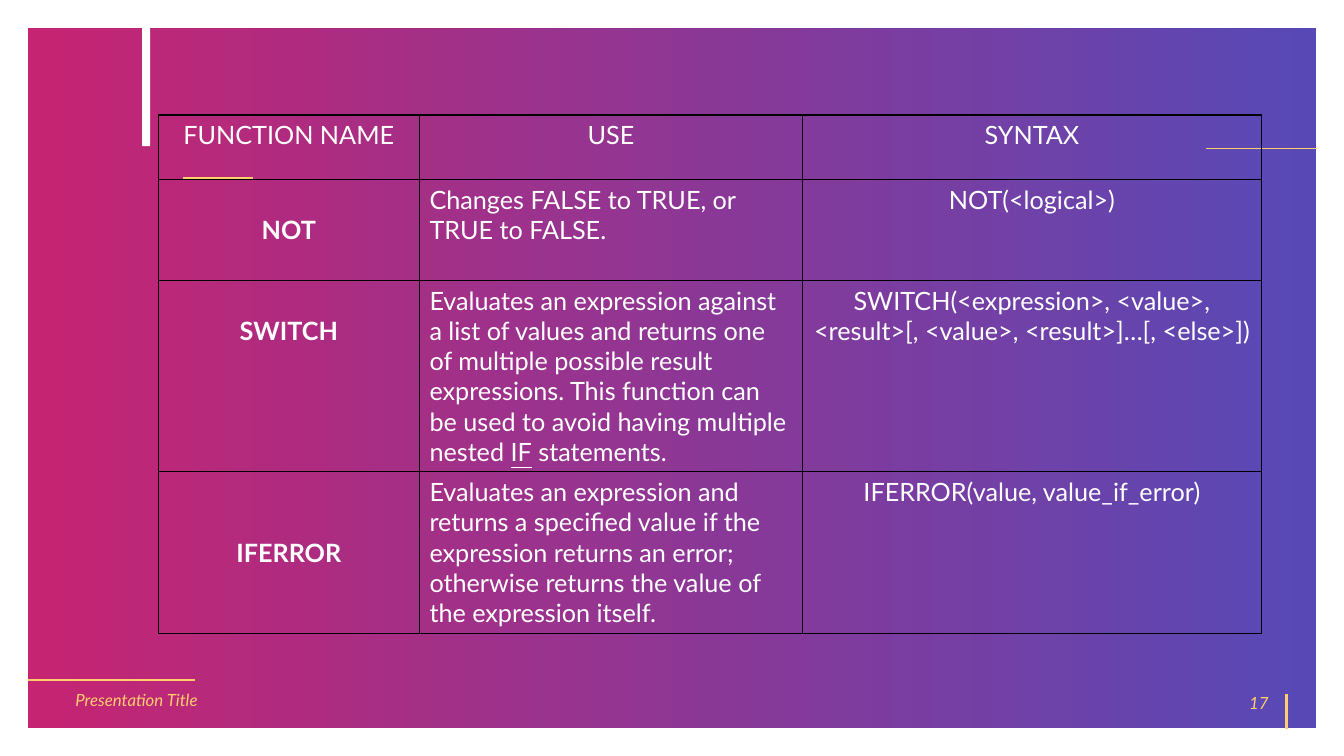
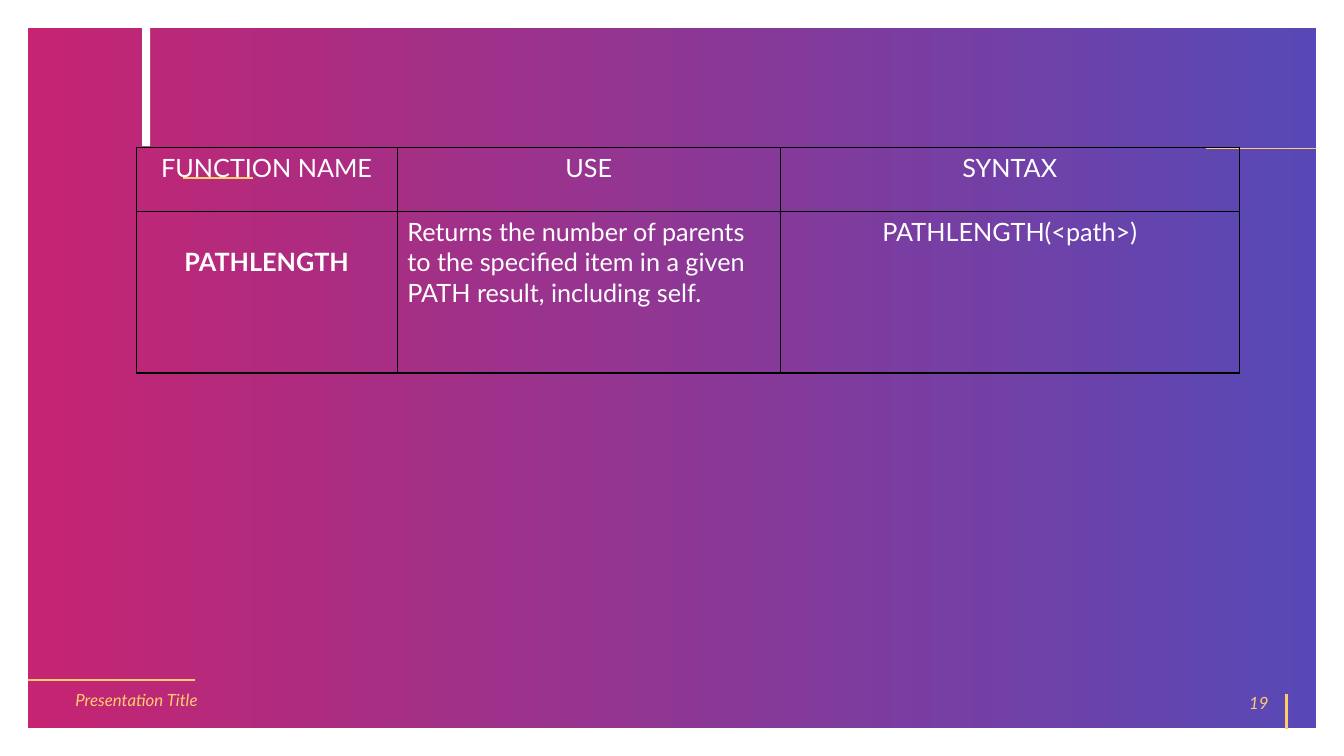
from lxml import etree
from pptx import Presentation
from pptx.dml.color import RGBColor
from pptx.enum.shapes import MSO_CONNECTOR, MSO_SHAPE
from pptx.enum.text import MSO_ANCHOR, PP_ALIGN
from pptx.oxml.ns import qn
from pptx.util import Inches, Pt

RECT, LINE = MSO_SHAPE.RECTANGLE, MSO_CONNECTOR.STRAIGHT
LEFT, CENTER, RIGHT = PP_ALIGN.LEFT, PP_ALIGN.CENTER, PP_ALIGN.RIGHT
MIDDLE = MSO_ANCHOR.MIDDLE

WHITE = RGBColor(0xFF, 0xFF, 0xFF)
BLACK = RGBColor(0x00, 0x00, 0x00)
GOLD = RGBColor(0xFF, 0xCD, 0x6B)
PINK = RGBColor(0xBE, 0x00, 0x5A)
BLUE = RGBColor(0x3B, 0x2C, 0xAC)

FOOT = {"name": "Lato", "size": Pt(12), "italic": True}
BODY = {"name": "Lato", "size": Pt(18), "bold": False}
NAME = {**BODY, "bold": True}

HEAD = ("FUNCTION NAME", "USE", "SYNTAX")
COLS = (2.59, 3.8, 4.55)
HEAD_H = 0.64
TEXT_H = 0.3  # one line of body text
PAD = 0.05

# Rows: height, lines above the name, name, use, syntax; |...| is underlined
SLIDES = [
    {"number": "17", "left": 1.57, "top": 1.14, "rows": [
        (1.0, 1, "NOT", "Changes FALSE to TRUE, or TRUE to FALSE.",
         "NOT(<logical>)"),
        (1.9, 1, "SWITCH",
         "Evaluates an expression against a list of values and returns one "
         "of multiple possible result expressions. This function can be used "
         "to avoid having multiple nested |IF| statements.",
         "SWITCH(<expression>, <value>, <result>[, <value>, "
         "<result>]…[, <else>])"),
        (1.6, 2, "IFERROR",
         "Evaluates an expression and returns a specified value if the "
         "expression returns an error; otherwise returns the value of the "
         "expression itself.",
         "IFERROR(value, value_if_error)"),
    ]},
    {"number": "19", "left": 1.35, "top": 1.46, "rows": [
        (1.6, 1, "PATHLENGTH",
         "Returns the number of parents to the specified item in a given "
         "PATH result, including self.",
         "PATHLENGTH(<path>)"),
    ]},
]

# Gold rules: x1, y1, x2, y2, width in points
RULES = [
    (1.82, 1.77, 2.51, 1.77, 1.5),
    (11.96, 1.47, 13.06, 1.47, 0.5),
    (12.76, 7.23, 12.76, 6.89, 1.5),
    (0.28, 6.75, 1.93, 6.75, 1.5),
]


def write(frame, text, form, color, align):
    """Fill the first paragraph; parts between bars are underlined."""
    para = frame.paragraphs[0]
    para.alignment = align
    for i, part in enumerate(text.split("|")):
        run = para.add_run()
        run.text = part
        for key, value in form.items():
            setattr(run.font, key, value)
        run.font.color.rgb = color
        if i % 2:
            run.font.underline = True


def add_rect(slide, *box):
    shape = slide.shapes.add_shape(RECT, *map(Inches, box))
    shape.shadow.inherit = False
    return shape


def add_panel(slide):
    panel = add_rect(slide, 0.13, 0.13, 13.07, 7.24)
    panel.fill.gradient()
    panel.fill.gradient_angle = 0
    for stop, color in zip(panel.fill.gradient_stops, (PINK, BLUE)):
        stop.color.rgb = color
    for node in panel._element.xpath(".//a:gs/a:srgbClr"):
        etree.SubElement(node, qn("a:alpha"), val="85000")
    panel.line.color.rgb = WHITE
    panel.line.width = Pt(21.5)


def add_rule(slide, x1, y1, x2, y2, width):
    rule = slide.shapes.add_connector(LINE, *map(Inches, (x1, y1, x2, y2)))
    rule.line.color.rgb = GOLD
    rule.line.width = Pt(width)
    etree.SubElement(rule._element.spPr, qn("a:effectLst"))


def add_foot(slide, box, text, align):
    frame = slide.shapes.add_textbox(*map(Inches, box)).text_frame
    frame.word_wrap = True
    frame.vertical_anchor = MIDDLE
    write(frame, text, FOOT, GOLD, align)


def add_frame(slide, number):
    """Draw what every slide shares."""
    add_panel(slide)
    bar = add_rect(slide, 1.41, 0.27, 0.08, 1.18)
    bar.fill.solid()
    bar.fill.fore_color.rgb = WHITE
    bar.line.fill.background()
    for rule in RULES:
        add_rule(slide, *rule)
    add_foot(slide, (0.65, 6.74, 3.05, 0.4), "Presentation Title", LEFT)
    add_foot(slide, (9.68, 6.77, 3, 0.4), number, RIGHT)


def style_cell(cell):
    """Give a cell thin black borders and no fill."""
    props = cell._tc.get_or_add_tcPr()
    for side in ("lnL", "lnR", "lnT", "lnB"):
        edge = etree.SubElement(props, qn(f"a:{side}"), w=str(Pt(1)))
        fill = etree.SubElement(edge, qn("a:solidFill"))
        etree.SubElement(fill, qn("a:srgbClr"), val=str(BLACK))
    cell.fill.background()


def add_grid(slide, left, top, rows):
    heights = [HEAD_H] + [row[0] for row in rows]
    box = (left, top, sum(COLS), sum(heights))
    table = slide.shapes.add_table(
        len(heights), len(COLS), *map(Inches, box)).table
    table.first_row = table.horz_banding = False
    for col, width in zip(table.columns, COLS):
        col.width = Inches(width)
    for row, height in zip(table.rows, heights):
        row.height = Inches(height)
    for cell in table.iter_cells():
        style_cell(cell)
    for c, text in enumerate(HEAD):
        write(table.cell(0, c).text_frame, text, BODY, WHITE, CENTER)
    styles = ((NAME, CENTER), (BODY, LEFT), (BODY, CENTER))
    for r, (_, above, *texts) in enumerate(rows, 1):
        for c, (text, (form, align)) in enumerate(zip(texts, styles)):
            write(table.cell(r, c).text_frame, text, form, WHITE, align)
        table.cell(r, 0).margin_top = Inches(PAD + above * TEXT_H)


def main():
    deck = Presentation()
    deck.slide_width, deck.slide_height = Inches(13.33), Inches(7.5)
    for data in SLIDES:
        slide = deck.slides.add_slide(deck.slide_layouts[6])
        add_frame(slide, data["number"])
        add_grid(slide, data["left"], data["top"], data["rows"])
    deck.save("out.pptx")


if __name__ == "__main__":
    main()
